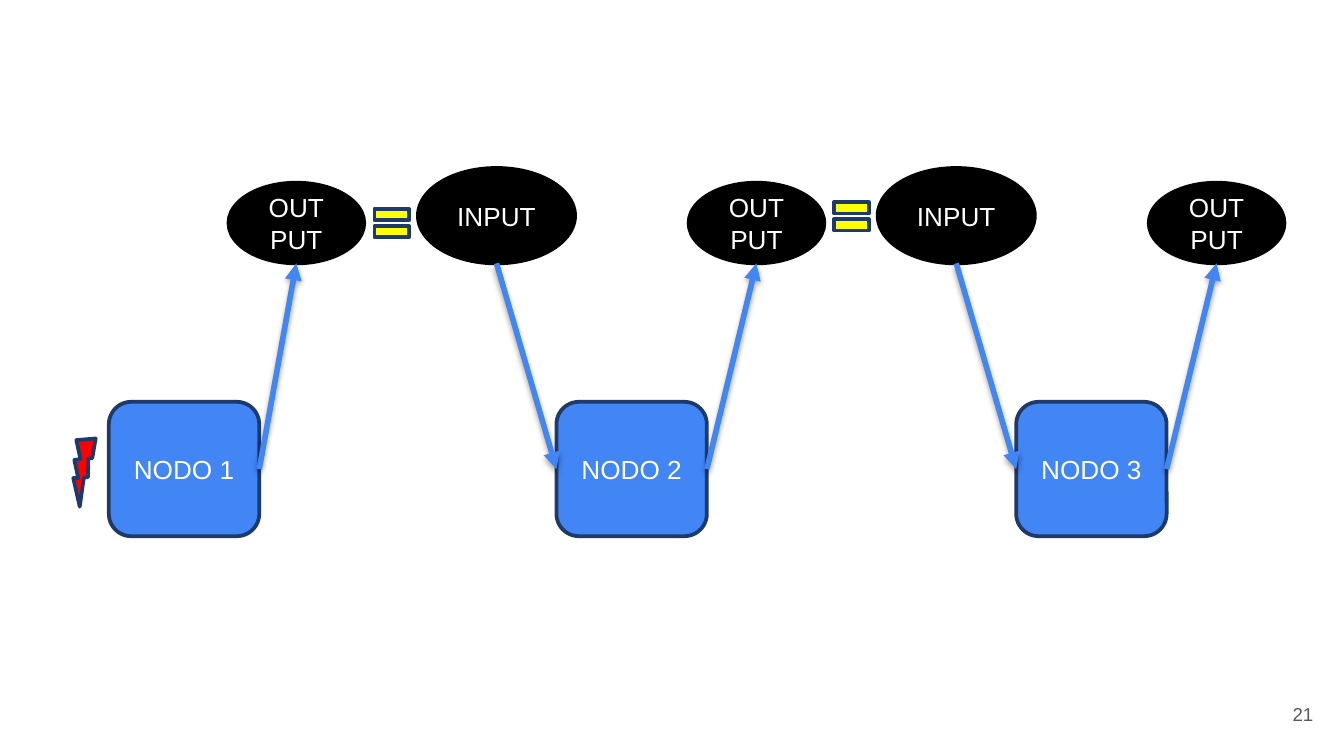
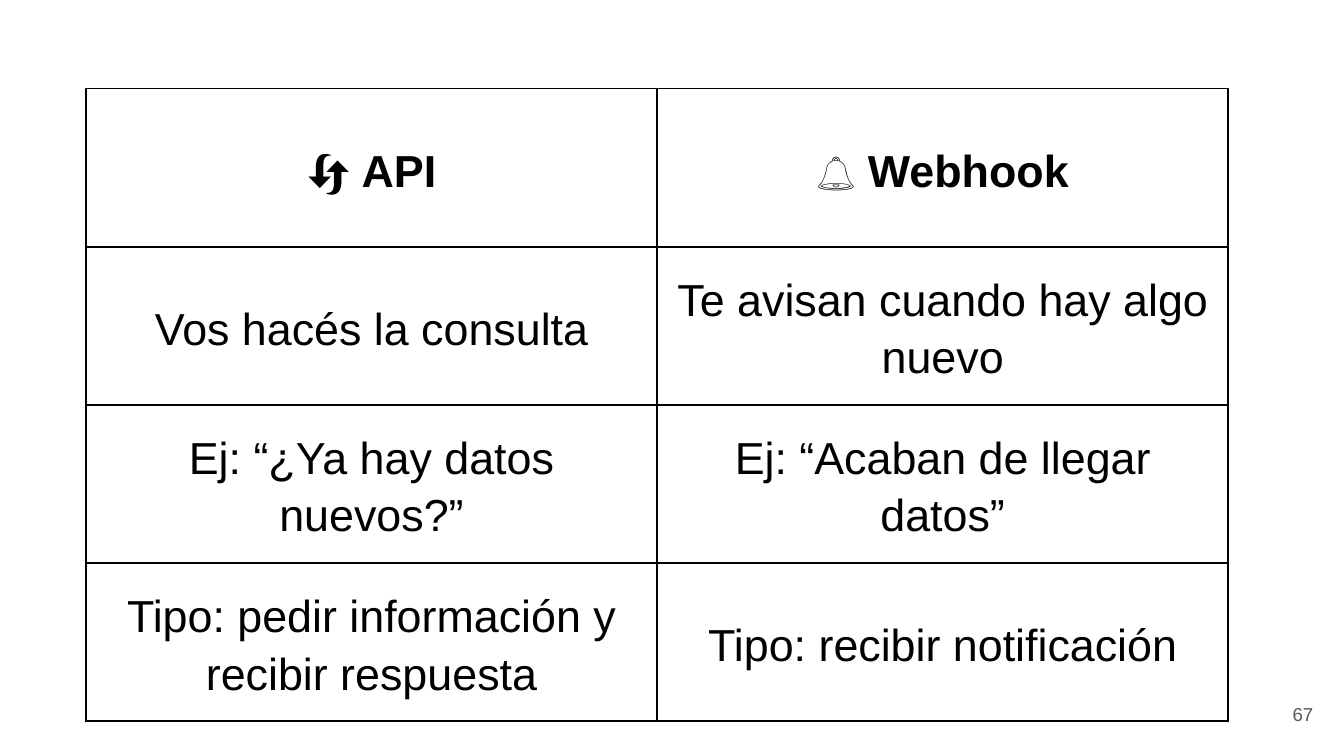
from dataclasses import dataclass

from lxml import etree
from pptx import Presentation
from pptx.dml.color import RGBColor
from pptx.enum.shapes import MSO_CONNECTOR, MSO_SHAPE
from pptx.enum.text import MSO_ANCHOR, PP_ALIGN
from pptx.oxml.ns import qn
from pptx.util import Pt

ROUNDED = MSO_SHAPE.ROUNDED_RECTANGLE
ELLIPSE = MSO_SHAPE.OVAL
BOLT = MSO_SHAPE.LIGHTNING_BOLT
EQUAL = MSO_SHAPE.MATH_EQUAL
STRAIGHT = MSO_CONNECTOR.STRAIGHT
MIDDLE = MSO_ANCHOR.MIDDLE
CENTER, RIGHT = PP_ALIGN.CENTER, PP_ALIGN.RIGHT
BLANK_LAYOUT = 6


@dataclass(frozen=True)
class Theme:
    font: str = "Arial"
    blue: str = "4285F4"
    navy: str = "1D3A6B"
    black: str = "000000"
    white: str = "FFFFFF"
    red: str = "FF0000"
    yellow: str = "FFFF00"
    gray: str = "595959"
    label_size: float = 14
    table_size: float = 24
    number_size: float = 10
    outline: float = 2
    arrow: float = 3
    border: float = 1


def color(value):
    return RGBColor.from_string(value)


def add_element(parent, tag, **attributes):
    element = etree.SubElement(parent, qn(tag))
    for name, value in attributes.items():
        element.set(name, str(value))
    return element


def write_text(frame, text, *, font, size, ink, align=CENTER, bold=False,
               spacing=None):
    paragraph = frame.paragraphs[0]
    paragraph.alignment = align
    if spacing:
        paragraph.line_spacing = spacing
    run = paragraph.add_run()
    run.text = text
    run.font.name = font
    run.font.size = Pt(size)
    run.font.bold = bold
    run.font.color.rgb = color(ink)


class Deck:
    def __init__(self, theme):
        self.theme = theme
        self.presentation = Presentation()
        self.presentation.slide_width = Pt(720)
        self.presentation.slide_height = Pt(405)
        self.slide = None

    def new_slide(self, number):
        layout = self.presentation.slide_layouts[BLANK_LAYOUT]
        self.slide = self.presentation.slides.add_slide(layout)
        self.page_number(number)

    def page_number(self, number):
        box = self.slide.shapes.add_textbox(Pt(667.4), Pt(367.2), Pt(43.2), Pt(31))
        frame = box.text_frame
        frame.word_wrap = True
        frame.vertical_anchor = MIDDLE
        frame.margin_left = frame.margin_right = Pt(7.2)
        frame.margin_top = frame.margin_bottom = Pt(7.2)
        write_text(frame, str(number), font=self.theme.font,
                   size=self.theme.number_size, ink=self.theme.gray, align=RIGHT)

    def shape(self, kind, left, top, width, height, fill, line, text=None,
              rotation=0):
        shape = self.slide.shapes.add_shape(
            kind, Pt(left), Pt(top), Pt(width), Pt(height))
        shape.shadow.inherit = False
        shape.rotation = rotation
        shape.fill.solid()
        shape.fill.fore_color.rgb = color(fill)
        shape.line.color.rgb = color(line)
        shape.line.width = Pt(self.theme.outline)
        if text:
            shape.text_frame.word_wrap = True
            shape.text_frame.vertical_anchor = MIDDLE
            write_text(shape.text_frame, text, font=self.theme.font,
                       size=self.theme.label_size, ink=self.theme.white)

    def arrow(self, start, end):
        connector = self.slide.shapes.add_connector(
            STRAIGHT, *(Pt(value) for value in (*start, *end)))
        connector.line.color.rgb = color(self.theme.blue)
        connector.line.width = Pt(self.theme.arrow)
        properties = connector._element.spPr
        add_element(properties.find(qn("a:ln")), "a:tailEnd", type="triangle")
        # Soft shadow straight below the line
        effects = add_element(properties, "a:effectLst")
        shadow = add_element(effects, "a:outerShdw", blurRad=Pt(3.1),
                             dist=Pt(1.8), dir=90 * 60000, rotWithShape=0)
        ink = add_element(shadow, "a:srgbClr", val=self.theme.black)
        add_element(ink, "a:alpha", val=35000)

    def table(self, left, top, column_width, row_height, rows):
        columns = len(rows[0])
        table = self.slide.shapes.add_table(
            len(rows), columns, Pt(left), Pt(top),
            Pt(column_width * columns), Pt(row_height * len(rows))).table
        table.first_row = table.horz_banding = False
        for column in table.columns:
            column.width = Pt(column_width)
        for index, texts in enumerate(rows):
            table.rows[index].height = Pt(row_height)
            for cell, text in zip(table.rows[index].cells, texts):
                self.cell(cell, text, bold=index == 0)

    def cell(self, cell, text, bold):
        properties = cell._tc.get_or_add_tcPr()
        for side in ("a:lnL", "a:lnR", "a:lnT", "a:lnB"):
            line = add_element(properties, side, w=Pt(self.theme.border))
            fill = add_element(line, "a:solidFill")
            add_element(fill, "a:srgbClr", val=self.theme.black)
        cell.fill.background()
        cell.vertical_anchor = MIDDLE
        cell.margin_left = cell.margin_right = Pt(5)
        cell.margin_top = cell.margin_bottom = Pt(5)
        write_text(cell.text_frame, text, font=self.theme.font,
                   size=self.theme.table_size, ink=self.theme.black,
                   bold=bold, spacing=1.15)


def build_node_chain(deck):
    theme = deck.theme
    deck.new_slide(21)
    node_top, node_width, node_height = 215.3, 80.6, 72
    input_top, input_width, input_height = 90, 84.2, 51.1
    output_top, output_width, output_height = 97.9, 72.7, 43.2
    node_middle = node_top + node_height / 2
    bubble_bottom = input_top + input_height

    # Each node with its input and output bubbles
    chain = ((58.3, 122.4), (298.1, 368.9), (544.4, 615.4))
    for number, (node_left, output_left) in enumerate(chain, start=1):
        deck.shape(ROUNDED, node_left, node_top, node_width, node_height,
                   theme.blue, theme.navy, f"NODO {number}")
        deck.shape(ELLIPSE, output_left, output_top, output_width,
                   output_height, theme.black, theme.black, "OUTPUT")
        deck.arrow((node_left + node_width, node_middle),
                   (output_left + output_width / 2, bubble_bottom))
        if number > 1:
            input_left = node_left - 74.2
            deck.shape(ELLIPSE, input_left, input_top, input_width,
                       input_height, theme.black, theme.black, "INPUT")
            deck.arrow((input_left + input_width / 2, bubble_bottom),
                       (node_left, node_middle))

    # Trigger and equal signs
    deck.shape(BOLT, 33.1, 233.3, 20.9, 35.3, theme.red, theme.navy,
               rotation=32.9)
    for left, top in ((197.3, 106.6), (443.5, 103)):
        deck.shape(EQUAL, left, top, 25.2, 25.9, theme.yellow, theme.navy)


def build_comparison(deck):
    deck.new_slide(67)
    deck.table(46, 47.5, 306, 84.7, (
        ("🔄 API", "🔔 Webhook"),
        ("Vos hacés la consulta", "Te avisan cuando hay algo nuevo"),
        ("Ej: “¿Ya hay datos nuevos?”", "Ej: “Acaban de llegar datos”"),
        ("Tipo: pedir información y recibir respuesta",
         "Tipo: recibir notificación"),
    ))


def main():
    deck = Deck(Theme())
    build_node_chain(deck)
    build_comparison(deck)
    deck.presentation.save("out.pptx")


if __name__ == "__main__":
    main()
